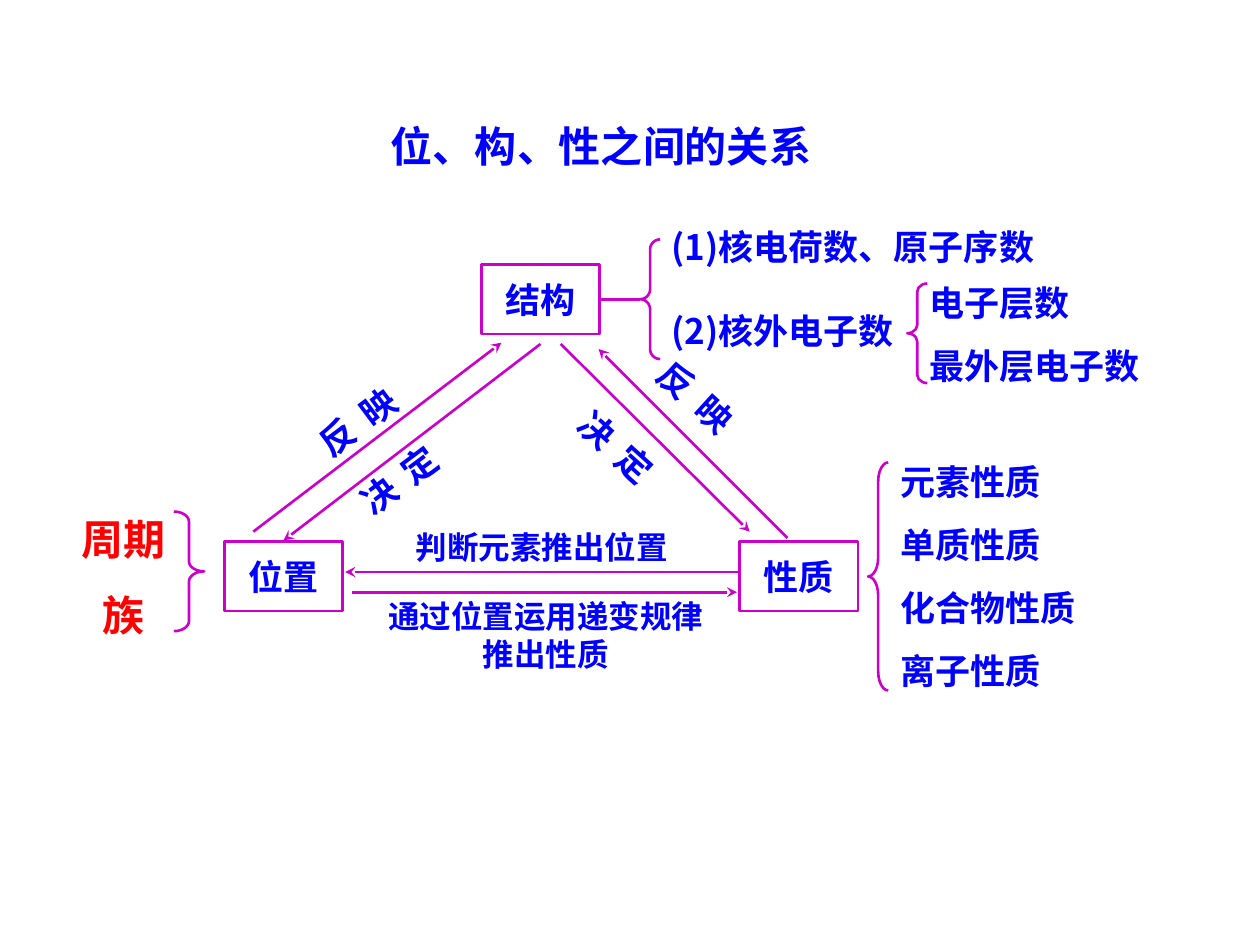
import pptx
import pptx.util
import pptx.dml.color
import pptx.enum.shapes
import pptx.enum.text
import pptx.oxml.ns
from lxml import etree

Inches = pptx.util.Inches
MSO_SHAPE = pptx.enum.shapes.MSO_SHAPE
PP_ALIGN = pptx.enum.text.PP_ALIGN
COLORS = {"text": "0000FF", "accent": "FF0000", "line": "CC00CC"}
FONT = "Noto Sans CJK SC"


def write_text(shape, lines, size, color="text", align=PP_ALIGN.CENTER, spacing=None, font=FONT, tracking=None):
    frame = shape.text_frame
    for index, line in enumerate(lines):
        paragraph = frame.paragraphs[0] if index == 0 else frame.add_paragraph()
        paragraph.alignment = align
        paragraph.line_spacing = spacing
        run = paragraph.add_run()
        run.text = line
        run.font.size = pptx.util.Pt(size)
        run.font.bold = True
        run.font.name = font
        run.font.color.rgb = pptx.dml.color.RGBColor.from_string(COLORS[color])
        properties = run.font._element
        etree.SubElement(properties, pptx.oxml.ns.qn("a:ea"), typeface=FONT)
        if tracking:
            properties.set("spc", str(tracking))


def style_line(shape):
    shape.line.color.rgb = pptx.dml.color.RGBColor.from_string(COLORS["line"])
    shape.line.width = pptx.util.Pt(1.5)


presentation = pptx.Presentation()
presentation.slide_width = Inches(10)
presentation.slide_height = Inches(7.5)
slide = presentation.slides.add_slide(presentation.slide_layouts[6])

boxes = {}
for label, left, top in [("位置", 1.78, 4.3), ("结构", 3.82, 2.1), ("性质", 5.87, 4.3)]:
    shape = slide.shapes.add_shape(MSO_SHAPE.RECTANGLE, Inches(left), Inches(top), Inches(0.94), Inches(0.55))
    shape.shadow.inherit = False
    shape.fill.background()
    style_line(shape)
    shape.text_frame.word_wrap = False
    shape.text_frame.vertical_anchor = pptx.enum.text.MSO_ANCHOR.MIDDLE
    write_text(shape, [label], 20, font="Arial")
    boxes[label] = shape

braces = {}
for name, kind, left, top, width, height in [
    ("结构", MSO_SHAPE.LEFT_BRACE, 5.08, 1.9, 0.16, 0.95),
    ("电子", MSO_SHAPE.LEFT_BRACE, 7.2, 2.25, 0.16, 0.79),
    ("性质", MSO_SHAPE.LEFT_BRACE, 6.89, 3.67, 0.16, 1.81),
    ("位置", MSO_SHAPE.RIGHT_BRACE, 1.38, 4.06, 0.24, 0.95),
]:
    shape = slide.shapes.add_shape(kind, Inches(left), Inches(top), Inches(width), Inches(height))
    shape.adjustments[0] = height / 12 / width
    shape.shadow.inherit = False
    shape.fill.background()
    style_line(shape)
    braces[name] = shape

arrows = [
    (2.01, 4.22, 3.98, 2.72),
    (4.29, 2.73, 2.25, 4.29),
    (4.45, 2.73, 5.95, 4.22),
    (6.25, 4.27, 4.75, 2.77),
    (2.79, 4.7, 5.85, 4.7),
    (5.87, 4.54, 2.74, 4.54),
]
stem = (4.76, 2.37, 5.08, 2.37)
for points in arrows + [stem]:
    connector = slide.shapes.add_connector(
        pptx.enum.shapes.MSO_CONNECTOR.STRAIGHT, *[Inches(value) for value in points]
    )
    style_line(connector)
    if points == stem:
        connector.begin_connect(boxes["结构"], 3)
        connector.end_connect(braces["结构"], 1)
    else:
        line = connector.line._get_or_add_ln()
        etree.SubElement(line, pptx.oxml.ns.qn("a:tailEnd"), type="stealth")
    etree.SubElement(connector._element.spPr, pptx.oxml.ns.qn("a:effectLst"))

left_text = {"align": PP_ALIGN.LEFT}
left_list = {"align": PP_ALIGN.LEFT, "spacing": 1.5}
texts = [
    (2.72, 0.91, 4.1, 0.5, 0, ["位、构、性之间的关系"], 24, {}),
    (2.88, 4.14, 2.84, 0.4, 0, ["判断元素推出位置"], 18, {}),
    (2.48, 4.69, 3.7, 0.7, 0, ["通过位置运用递变规律", "推出性质"], 18, {}),
    (0.35, 3.83, 1.26, 1.3, 0, ["周期", "族"], 24, {"color": "accent", "spacing": 1.5}),
    (5.23, 1.74, 3.31, 0.44, 0, ["(1)核电荷数、原子序数"], 20, left_text),
    (5.23, 2.41, 2.44, 0.44, 0, ["(2)核外电子数"], 20, left_text),
    (7.28, 2.02, 2.05, 1.1, 0, ["电子层数", "最外层电子数"], 20, left_list),
    (7.05, 3.44, 2.05, 2.1, 0, ["元素性质", "单质性质", "化合物性质", "离子性质"], 20, left_list),
]
for center_x, center_y, rotation, label in [
    (2.84, 3.35, 323.2, "反 映"),
    (3.17, 3.81, 323.2, "决 定"),
    (5.52, 3.15, 42.1, "反 映"),
    (4.89, 3.55, 42.1, "决 定"),
]:
    texts.append((center_x - 0.87, center_y - 0.22, 1.74, 0.44, rotation, [label], 20, {"tracking": 220}))

for left, top, width, height, rotation, lines, size, options in texts:
    shape = slide.shapes.add_textbox(Inches(left), Inches(top), Inches(width), Inches(height))
    shape.rotation = rotation
    shape.text_frame.word_wrap = True
    write_text(shape, lines, size, **options)

presentation.save("out.pptx")
